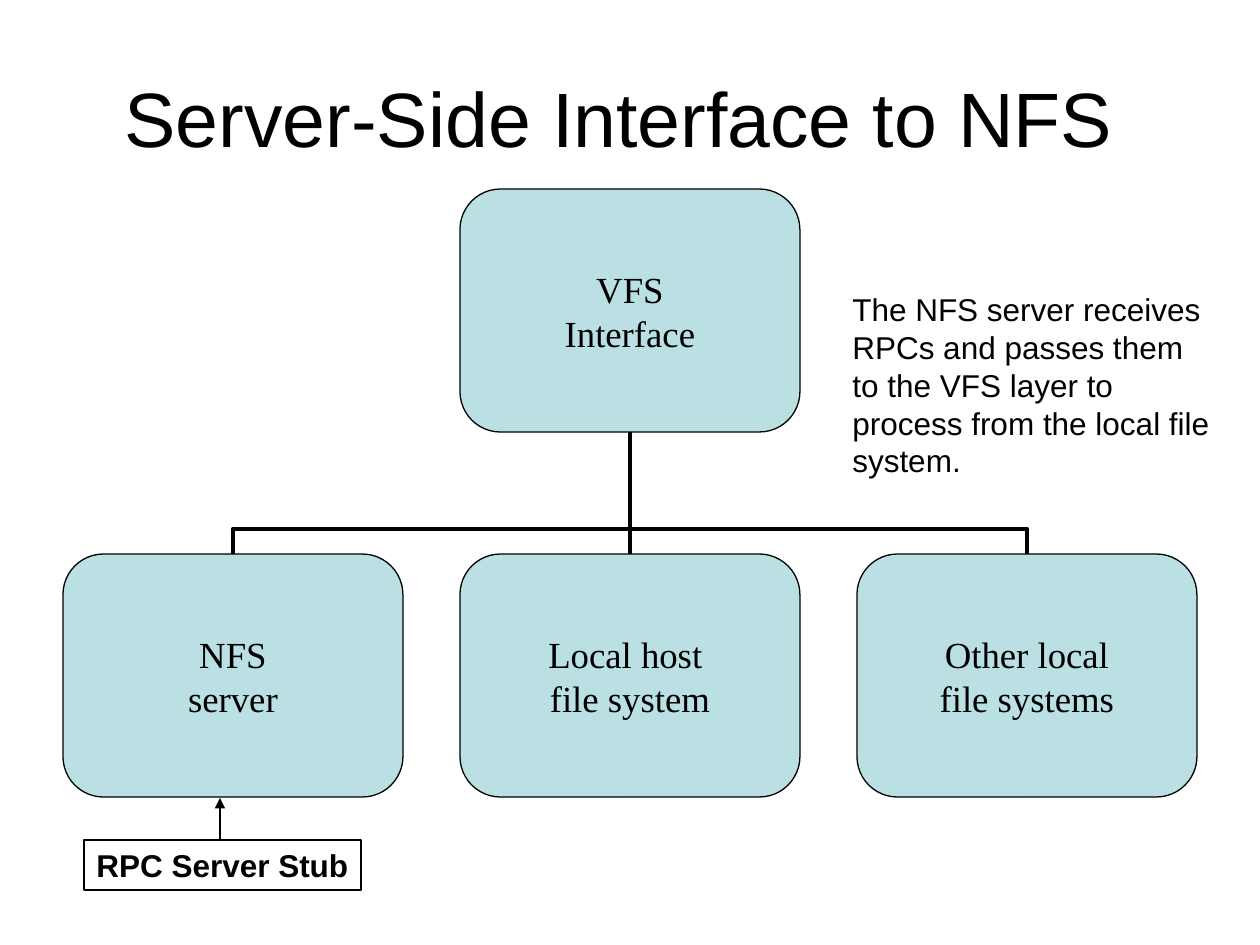
from lxml.etree import SubElement
from pptx import Presentation
from pptx.dml.color import RGBColor
from pptx.enum.shapes import MSO_CONNECTOR as Connector, MSO_SHAPE as Shape
from pptx.enum.text import MSO_ANCHOR as Anchor, MSO_AUTO_SIZE as AutoSize, PP_ALIGN as Align
from pptx.oxml.ns import qn
from pptx.util import Pt

PX = 914400 / 126
COLORS = {"ink": "000000", "card": "BBE0E3"}
CARD_WIDTH, CARD_HEIGHT, CARD_STEP = 340, 243, 397
LEFT, TOP_ROW, BOTTOM_ROW = 63, 189, 554
CARDS = ["NFS\nserver", "Local host \nfile system", "Other local\nfile systems"]


def px(*lengths):
    return [round(length * PX) for length in lengths]


def color(name):
    return RGBColor.from_string(COLORS[name])


def write(shape, text, size=18, font="Arial", bold=False, align=Align.LEFT,
          anchor=Anchor.TOP, wrap=True, margin=None):
    frame = shape.text_frame
    frame.text = text
    frame.word_wrap = wrap
    frame.vertical_anchor = anchor
    if margin is not None:
        frame.margin_left = frame.margin_right = margin
        frame.margin_top = frame.margin_bottom = margin
    for paragraph in frame.paragraphs:
        paragraph.alignment = align
        for run in paragraph.runs:
            run.font.size = Pt(size)
            run.font.name = font
            run.font.bold = bold
            run.font.color.rgb = color("ink")


def outline(shape, width):
    shape.line.color.rgb = color("ink")
    shape.line.width = Pt(width)


def add_title(slide, text):
    title = slide.shapes.title
    title.left, title.top, title.width, title.height = px(63, 38, 1134, 157)
    write(title, text, size=44, align=Align.CENTER, anchor=Anchor.MIDDLE)


def add_card(slide, text, left, top):
    card = slide.shapes.add_shape(Shape.ROUNDED_RECTANGLE,
                                  *px(left, top, CARD_WIDTH, CARD_HEIGHT))
    card.shadow.inherit = False
    card.adjustments[0] = 0.167
    card.fill.solid()
    card.fill.fore_color.rgb = color("card")
    outline(card, 0.75)
    write(card, text, size=21, font="Times New Roman", align=Align.CENTER,
          anchor=Anchor.MIDDLE, wrap=False, margin=0)


def add_text(slide, text, box, **style):
    text_box = slide.shapes.add_textbox(*px(*box))
    write(text_box, text, **style)
    text_box.text_frame.auto_size = AutoSize.SHAPE_TO_FIT_TEXT
    return text_box


def add_line(slide, start, end, width, kind=Connector.STRAIGHT):
    line = slide.shapes.add_connector(kind, *px(*start, *end))
    outline(line, width)
    SubElement(line._element.spPr, qn("a:effectLst"))
    return line


def add_branch(slide, side):
    center = LEFT + CARD_STEP + CARD_WIDTH / 2
    parent_bottom = TOP_ROW + CARD_HEIGHT
    if side == 0:
        add_line(slide, (center, BOTTOM_ROW), (center, parent_bottom), 2.25)
        return
    middle_x = center + side * CARD_STEP / 2
    middle_y = (BOTTOM_ROW + parent_bottom) / 2
    half_drop = side * (BOTTOM_ROW - parent_bottom) / 2
    half_span = CARD_STEP / 2
    branch = add_line(slide, (middle_x - half_drop, middle_y + half_span),
                      (middle_x + half_drop, middle_y - half_span), 2.25, Connector.ELBOW)
    properties = branch._element.spPr
    properties.find(qn("a:xfrm")).set("rot", str((270 if side > 0 else 90) * 60000))
    geometry = properties.find(qn("a:prstGeom"))
    guides = geometry.find(qn("a:avLst"))
    if guides is None:
        guides = SubElement(geometry, qn("a:avLst"))
    SubElement(guides, qn("a:gd"), name="adj1", fmla="val 20800")


def add_arrow(slide, start, end):
    arrow = add_line(slide, start, end, 0.75)
    SubElement(arrow.line._get_or_add_ln(), qn("a:tailEnd"), type="triangle")


def main():
    presentation = Presentation()
    presentation.slide_width, presentation.slide_height = px(1260, 945)
    slide = presentation.slides.add_slide(presentation.slide_layouts[5])
    add_title(slide, "Server-Side Interface to NFS ")
    for side in (1, 0, -1):
        add_branch(slide, side)
    add_card(slide, "VFS\nInterface", LEFT + CARD_STEP, TOP_ROW)
    for column, text in enumerate(CARDS):
        add_card(slide, text, LEFT + column * CARD_STEP, BOTTOM_ROW)
    add_text(slide, "The NFS server receives\nRPCs and passes them to the VFS layer "
             "to process from the local file system.", (840, 284, 388, 202))
    stub = add_text(slide, "RPC Server Stub", (84, 840, 277, 50), bold=True, wrap=False)
    outline(stub, 0.75)
    add_arrow(slide, (220, 840), (220, 798))
    presentation.save("out.pptx")


if __name__ == "__main__":
    main()
